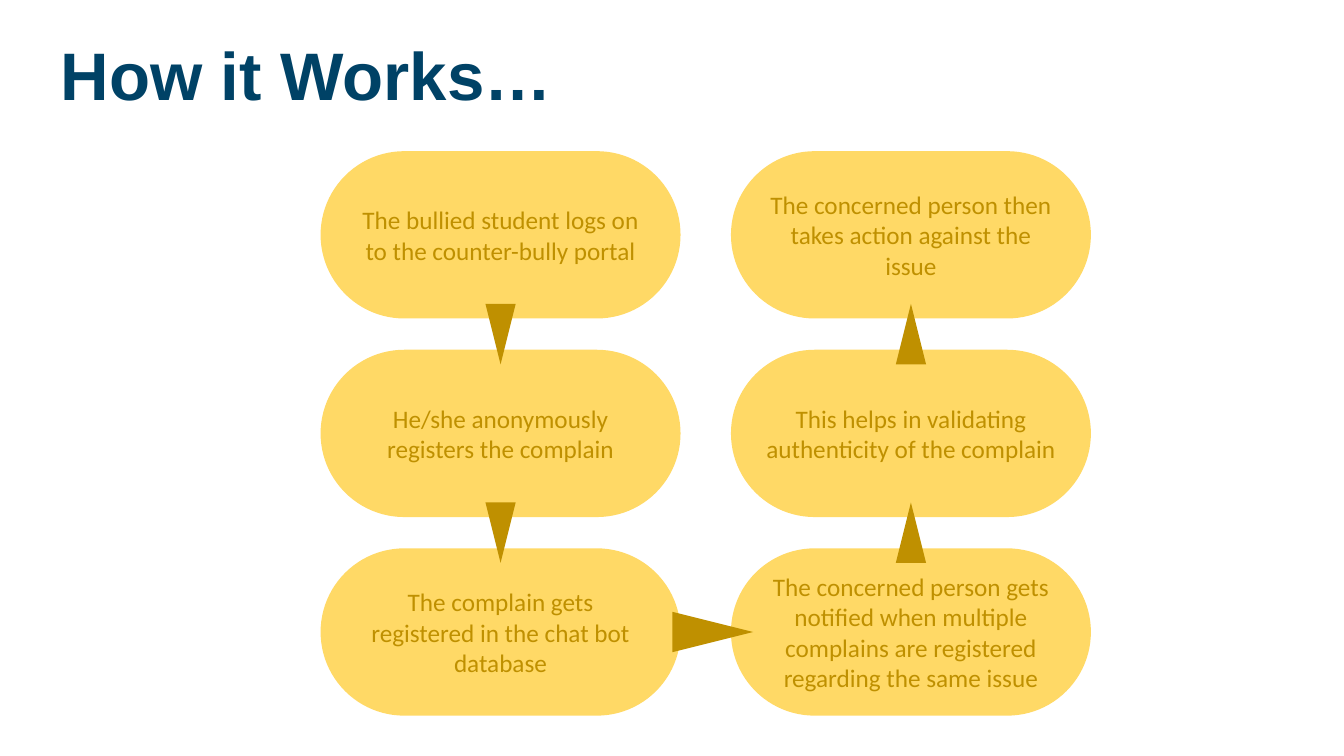
from itertools import pairwise

from pptx import Presentation
from pptx.dml.color import RGBColor
from pptx.enum import shapes, text
from pptx.util import Inches, Pt

TITLE = "How it Works…"
STEPS = [
    ("The bullied student logs on to the counter-bully portal", 0, 0),
    ("He/she anonymously registers the complain", 0, 1),
    ("The complain gets registered in the chat bot database", 0, 2),
    ("The concerned person gets notified when multiple complains "
     "are registered regarding the same issue", 1, 2),
    ("This helps in validating authenticity of the complain", 1, 1),
    ("The concerned person then takes action against the issue", 1, 0),
]
COLORS = {"title": "004266", "step": "FFD966", "accent": "BF9000"}
LEFT, TOP = 3.18, 1.5
STEP_W, STEP_H = 3.57, 1.66
PITCH_X, PITCH_Y = 4.07, 1.97
DOWN_ARROW = (0.6, 0.3, 0)
ACROSS_ARROW = (0.8, 0.4, 0.07)


def color(name):
    return RGBColor.from_string(COLORS[name])


def paint(sp, name):
    sp.shadow.inherit = False
    sp.fill.solid()
    sp.fill.fore_color.rgb = color(name)
    sp.line.fill.background()


def format_text(p, size, font, name, align, bold=False):
    p.alignment = align
    p.font.size = Pt(size)
    p.font.name = font
    p.font.bold = bold
    p.font.color.rgb = color(name)


def add_title(s):
    sp = s.shapes.title
    sp.left, sp.top, sp.width, sp.height = map(Inches, (0.5, 0.28, 5.14, 0.91))
    tf = sp.text_frame
    tf.text = TITLE
    tf.word_wrap = False
    tf.auto_size = text.MSO_AUTO_SIZE.NONE
    tf.vertical_anchor = text.MSO_ANCHOR.TOP
    p = tf.paragraphs[0]
    p.line_spacing = 1.0
    p.space_before = Pt(0)
    format_text(p, 48, "Arial", "title", text.PP_ALIGN.LEFT, True)


def add_step(s, label, col, row):
    x, y = LEFT + col * PITCH_X, TOP + row * PITCH_Y
    sp = s.shapes.add_shape(shapes.MSO_SHAPE.ROUNDED_RECTANGLE,
                            *map(Inches, (x, y, STEP_W, STEP_H)))
    sp.adjustments[0] = 0.5
    paint(sp, "step")
    tf = sp.text_frame
    tf.word_wrap = True
    tf.vertical_anchor = text.MSO_ANCHOR.MIDDLE
    tf.text = label
    format_text(tf.paragraphs[0], 18, "Calibri", "accent", text.PP_ALIGN.CENTER)
    return x + STEP_W / 2, y + STEP_H / 2


def add_arrow(s, start, end):
    (x1, y1), (x2, y2) = start, end
    distance = abs(x2 - x1) + abs(y2 - y1)
    dx, dy = (x2 - x1) / distance, (y2 - y1) / distance
    length, width, shift = ACROSS_ARROW if dx else DOWN_ARROW
    cx, cy = (x1 + x2) / 2 + shift * dx, (y1 + y2) / 2 + shift * dy

    def point(along, across):
        return (Inches(cx + along * dx - across * dy),
                Inches(cy + along * dy + across * dx))

    tip = point(length / 2, 0)
    base = [point(-length / 2, side * width / 2) for side in (1, -1)]
    builder = s.shapes.build_freeform(*tip)
    builder.add_line_segments(base, close=True)
    paint(builder.convert_to_shape(), "accent")


prs = Presentation()
prs.slide_width, prs.slide_height = Inches(13.33), Inches(7.5)
s = prs.slides.add_slide(prs.slide_layouts[5])
add_title(s)
centers = [add_step(s, *step) for step in STEPS]
for start, end in pairwise(centers):
    add_arrow(s, start, end)
prs.save("out.pptx")
